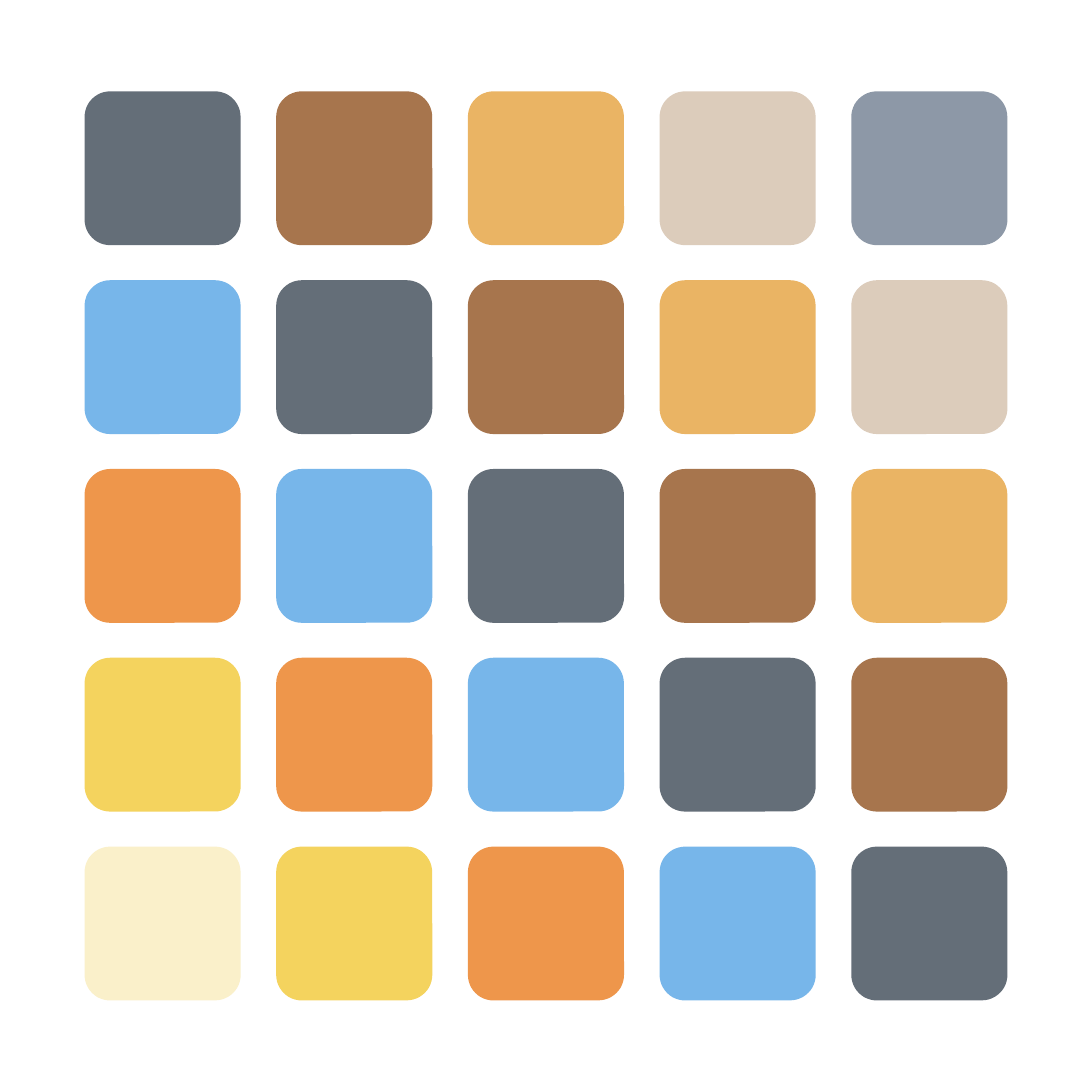
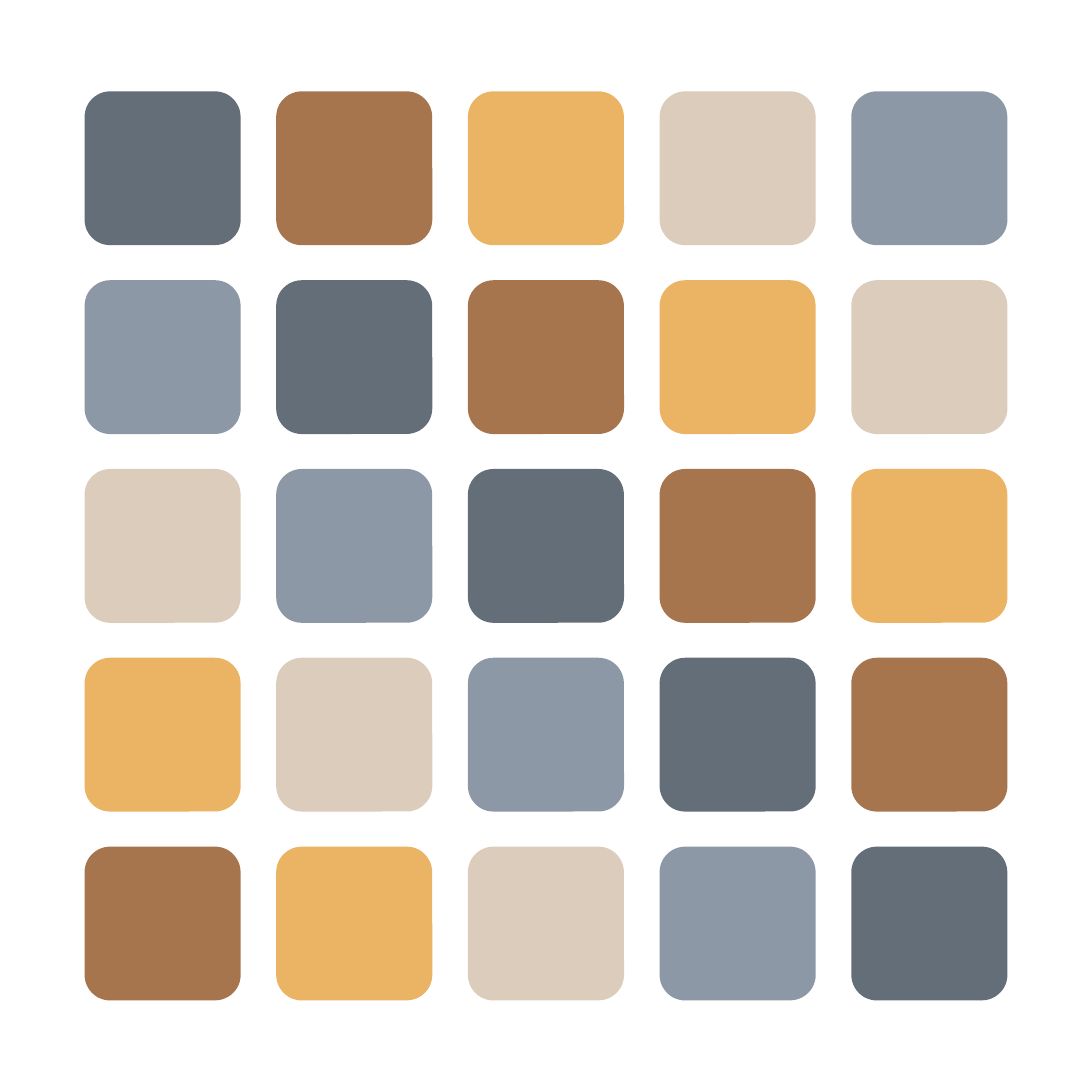
from itertools import product

from pptx import Presentation
from pptx.dml.color import RGBColor
from pptx.enum.shapes import MSO_SHAPE
from pptx.util import Inches

SLATE = RGBColor(0x64, 0x6E, 0x78)
BROWN = RGBColor(0xA7, 0x75, 0x4D)
OCHRE = RGBColor(0xEA, 0xB4, 0x64)
SAND = RGBColor(0xDC, 0xCC, 0xBB)
STEEL = RGBColor(0x8D, 0x98, 0xA7)
CREAM = RGBColor(0xFA, 0xF0, 0xCA)
YELLOW = RGBColor(0xF4, 0xD3, 0x5E)
ORANGE = RGBColor(0xEE, 0x96, 0x4B)
SKY = RGBColor(0x77, 0xB6, 0xEA)
WHITE = RGBColor(0xFF, 0xFF, 0xFF)

EARTH_TONES = [SLATE, BROWN, OCHRE, SAND, STEEL]
BRIGHT_TONES = [CREAM, YELLOW, ORANGE, SKY]
PALETTES = [EARTH_TONES + BRIGHT_TONES, EARTH_TONES]

SLIDE_SIDE = 3.94
GRID_WIDTH, GRID_HEIGHT = 3.33, 3.28
TILES_PER_SIDE = 5
TILE_TO_GAP = 4.4
BLANK_LAYOUT = 6


def tile_track(grid_length):
    """Return the tile starts and tile length along one centred axis."""
    gap = grid_length / (TILES_PER_SIDE * TILE_TO_GAP + TILES_PER_SIDE - 1)
    tile = gap * TILE_TO_GAP
    margin = (SLIDE_SIDE - grid_length) / 2
    return [margin + i * (tile + gap) for i in range(TILES_PER_SIDE)], tile


def add_diagonal_grid(slide, palette):
    """Give each diagonal one colour; those below the main one count from the palette's end."""
    lefts, width = tile_track(GRID_WIDTH)
    tops, height = tile_track(GRID_HEIGHT)
    for row, column in product(range(TILES_PER_SIDE), repeat=2):
        box = (lefts[column], tops[row], width, height)
        tile = slide.shapes.add_shape(MSO_SHAPE.ROUNDED_RECTANGLE, *map(Inches, box))
        tile.shadow.inherit = False
        tile.line.fill.background()
        tile.fill.solid()
        tile.fill.fore_color.rgb = palette[column - row]


def main():
    presentation = Presentation()
    presentation.slide_width = presentation.slide_height = Inches(SLIDE_SIDE)
    background = presentation.slide_master.background.fill
    background.solid()
    background.fore_color.rgb = WHITE
    for palette in PALETTES:
        slide = presentation.slides.add_slide(presentation.slide_layouts[BLANK_LAYOUT])
        add_diagonal_grid(slide, palette)
    presentation.save("out.pptx")


if __name__ == "__main__":
    main()
